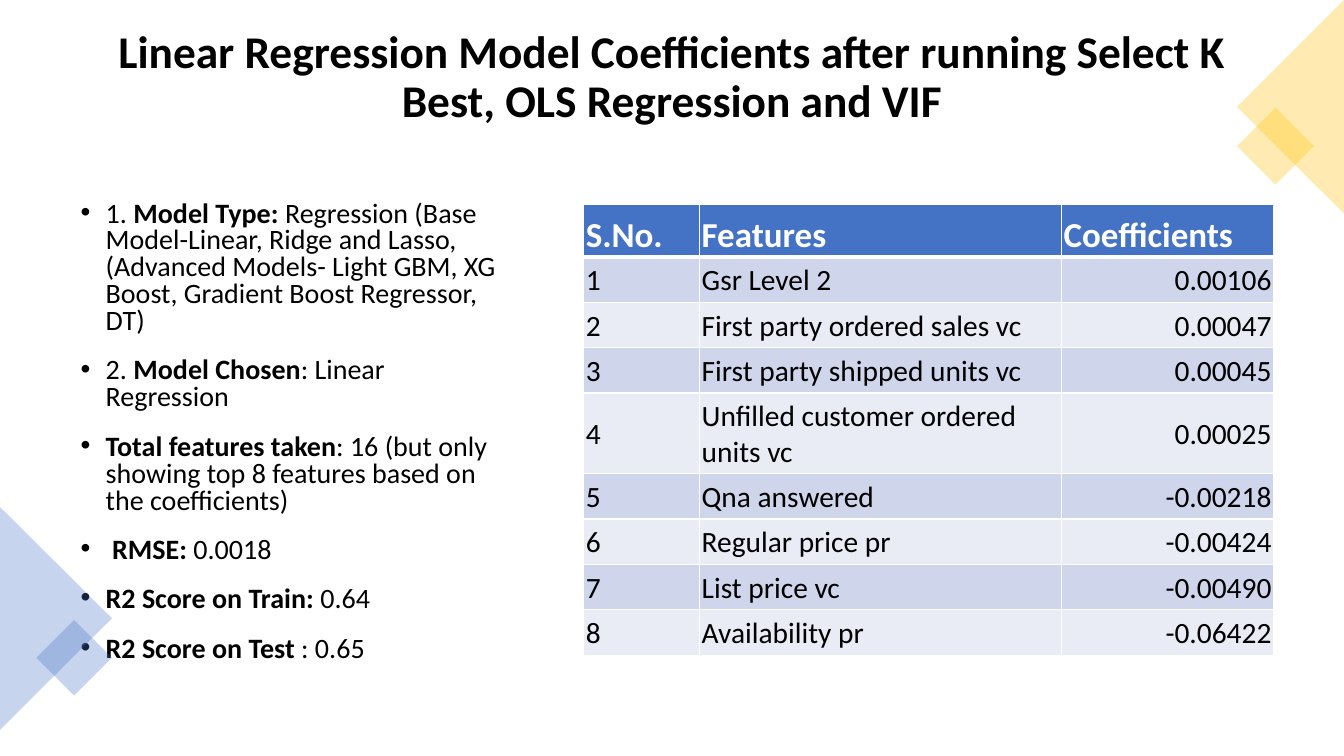
from lxml.etree import SubElement
from pptx import Presentation
from pptx.dml.color import RGBColor
from pptx.enum.shapes import MSO_SHAPE
from pptx.enum.text import MSO_ANCHOR, PP_ALIGN
from pptx.oxml.ns import qn
from pptx.util import Inches, Pt

FONT = "Calibri"
COLORS = {
    "text": "000000", "white": "FFFFFF", "blue": "4472C4", "gold": "FFC000",
    "odd": "CFD5EA", "even": "E9EBF5",
}

TITLE = ("Linear Regression Model Coefficients after running Select K Best, "
         "OLS Regression and VIF")

# Each bullet: plain lead, bold label, plain remainder
BULLETS = [
    ("1. ", "Model Type: ", "Regression (Base Model-Linear, Ridge and Lasso, (Advanced "
     "Models- Light GBM, XG Boost, Gradient Boost Regressor, DT)"),
    ("2. ", "Model Chosen", ": Linear Regression"),
    ("", "Total features taken",
     ": 16 (but only showing top 8 features based on the coefficients)"),
    (" ", "RMSE: ", "0.0018"),
    ("", "R2 Score on Train: ", "0.64"),
    ("", "R2 Score on Test ", ": 0.65"),
]

HEADER = ("S.No.", "Features", "Coefficients")
FEATURES = [
    ("Gsr Level 2", "0.00106"),
    ("First party ordered sales vc", "0.00047"),
    ("First party shipped units vc", "0.00045"),
    ("Unfilled customer ordered units vc", "0.00025"),
    ("Qna answered", "-0.00218"),
    ("Regular price pr", "-0.00424"),
    ("List price vc", "-0.00490"),
    ("Availability pr", "-0.06422"),
]
COL_WIDTHS = (1.15, 3.59, 2.1)
ROW_HEIGHTS = (0.52, 0.45, 0.45, 0.45, 0.8, 0.45, 0.45, 0.45, 0.45)


def rgb(name):
    return RGBColor.from_string(COLORS[name])


def set_attrs(obj, **values):
    for name, value in values.items():
        setattr(obj, name, value)


def add_run(p, text, size, bold=False, color="text"):
    r = p.add_run()
    r.text = text
    set_attrs(r.font, name=FONT, size=Pt(size), bold=bold)
    r.font.color.rgb = rgb(color)


def add_text_frame(s, box, anchor):
    tf = s.shapes.add_textbox(*map(Inches, box)).text_frame
    set_attrs(tf, word_wrap=True, vertical_anchor=anchor)
    return tf


def add_title(s):
    p = add_text_frame(s, (0.7, 0.35, 11.93, 0.85), MSO_ANCHOR.MIDDLE).paragraphs[0]
    set_attrs(p, alignment=PP_ALIGN.CENTER, line_spacing=0.9)
    add_run(p, TITLE, 32.4, bold=True)


def add_bullets(s):
    tf = add_text_frame(s, (0.7, 1.95, 4.38, 4.81), MSO_ANCHOR.TOP)
    for i, (lead, label, rest) in enumerate(BULLETS):
        p = tf.add_paragraph() if i else tf.paragraphs[0]
        set_attrs(p, line_spacing=0.8, space_before=Pt(10), space_after=Pt(6))
        pPr = p._p.get_or_add_pPr()
        pPr.set("marL", str(Inches(0.25)))
        pPr.set("indent", str(Inches(-0.25)))
        SubElement(pPr, qn("a:buFont"), typeface="Arial")
        SubElement(pPr, qn("a:buChar"), char="•")
        for text, bold in ((lead, False), (label, True), (rest, False)):
            if text:
                add_run(p, text, 20, bold)


def add_corner(s, color, pieces):
    """Group translucent shapes given as (preset, box, rotation)."""
    group = s.shapes.add_group_shape()
    for preset, box, rotation in pieces:
        sp = group.shapes.add_shape(preset, *map(Inches, box))
        sp.rotation = rotation
        sp.shadow.inherit = False
        sp.fill.solid()
        sp.fill.fore_color.rgb = rgb(color)
        clr = sp.fill._xPr.find(qn("a:solidFill"))[0]
        SubElement(clr, qn("a:alpha"), val="30000")
        sp.line.fill.background()


def set_borders(cell, bottom):
    """White borders, 1 pt except for the bottom one."""
    tcPr = cell._tc.get_or_add_tcPr()
    for i, (side, width) in enumerate((("L", 1), ("R", 1), ("T", 1), ("B", bottom))):
        ln = SubElement(tcPr, qn(f"a:ln{side}"), w=str(Pt(width)))
        fill = SubElement(ln, qn("a:solidFill"))
        SubElement(fill, qn("a:srgbClr"), val=COLORS["white"])
        tcPr.insert(i, ln)


def fill_cell(cell, text, row, col):
    head = row == 0
    edge = Inches(0.02)
    set_attrs(cell, margin_left=edge, margin_right=edge, margin_top=edge, margin_bottom=0,
              vertical_anchor=MSO_ANCHOR.BOTTOM if head else MSO_ANCHOR.MIDDLE)
    cell.fill.solid()
    cell.fill.fore_color.rgb = rgb("blue" if head else "odd" if row % 2 else "even")
    set_borders(cell, 3 if head else 1)
    p = cell.text_frame.paragraphs[0]
    p.alignment = PP_ALIGN.RIGHT if col == 2 and not head else PP_ALIGN.LEFT
    add_run(p, text, 25 if head else 21, head, "white" if head else "text")


def add_coefficient_table(s):
    rows = [HEADER] + [(str(n), *feature) for n, feature in enumerate(FEATURES, 1)]
    box = (5.79, 2.03, sum(COL_WIDTHS), sum(ROW_HEIGHTS))
    table = s.shapes.add_table(len(rows), len(HEADER), *map(Inches, box)).table
    for column, width in zip(table.columns, COL_WIDTHS):
        column.width = Inches(width)
    for i, (row, height) in enumerate(zip(rows, ROW_HEIGHTS)):
        table.rows[i].height = Inches(height)
        for j, text in enumerate(row):
            fill_cell(table.cell(i, j), text, i, j)


def main():
    prs = Presentation()
    set_attrs(prs, slide_width=Inches(13.33), slide_height=Inches(7.5))
    s = prs.slides.add_slide(prs.slide_layouts[6])
    add_title(s)
    add_bullets(s)
    triangle, square = MSO_SHAPE.ISOSCELES_TRIANGLE, MSO_SHAPE.RECTANGLE
    add_corner(s, "blue", [(triangle, (-0.55, 5.58, 2.21, 1.11), 90),
                           (square, (0.47, 6.26, 0.53, 0.53), 45)])
    add_corner(s, "gold", [(square, (12.38, 1.18, 0.54, 0.54), 45),
                           (triangle, (11.74, 0.53, 2.12, 1.06), 270)])
    add_coefficient_table(s)
    prs.save("out.pptx")


if __name__ == "__main__":
    main()
